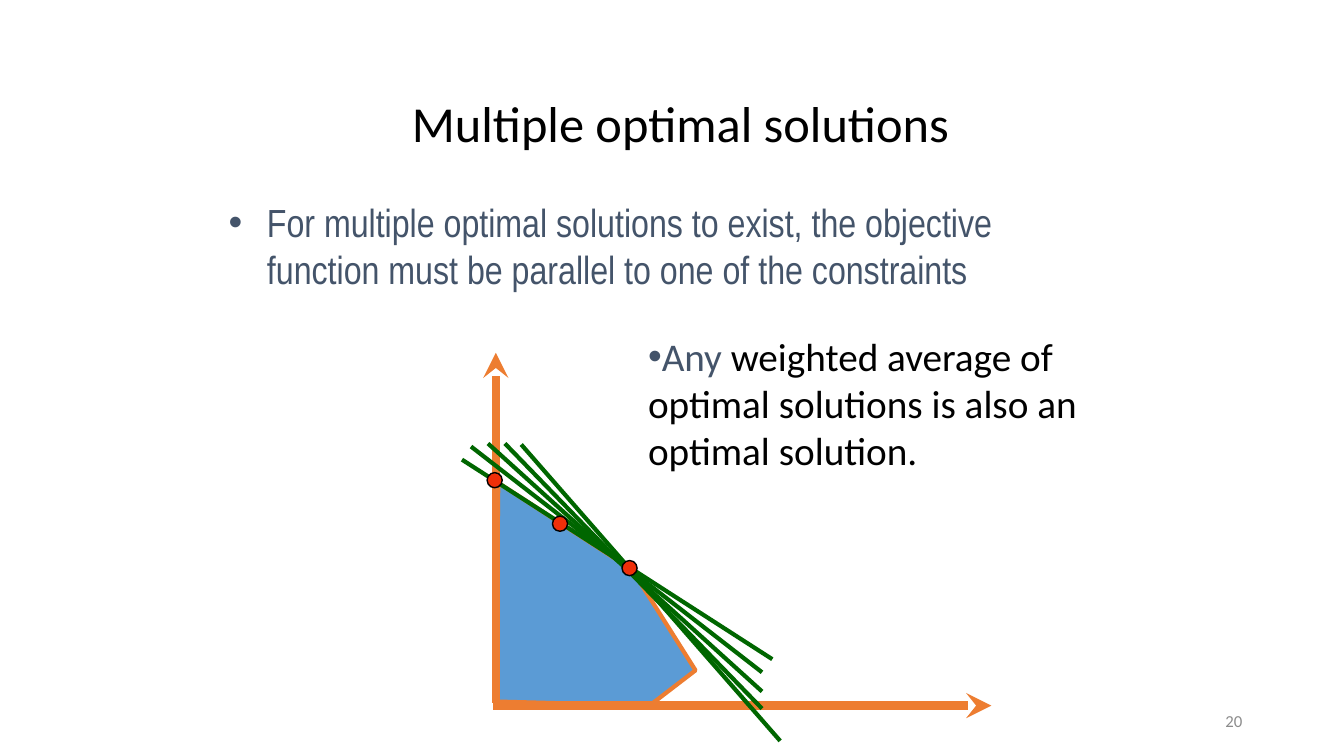
import pptx
import pptx.dml.color
import pptx.enum.shapes
import pptx.enum.text
import pptx.oxml.ns
import pptx.util
from lxml import etree

SLIDE_SIZE = (13.33, 7.5)
ORANGE, BLUE, GREEN, RED = "ED7D31", "5B9BD5", "006600", "EF2F09"
BLACK, SLATE, GREY = "000000", "44546A", "8C8C8C"

# Points of the graph, in percent of its box.
ORIGIN_UP, Y_AXIS_END = (15.3, 86.75), (15.3, 0)
ORIGIN_RIGHT, X_AXIS_END = (14.8, 87.5), (97.2, 87.5)
FEASIBLE_REGION = [(15.3, 86.5), (15.7, 32.25), (37.8, 53.75), (48.3, 78.75), (40.7, 87.5)]
OBJECTIVE_LINES = [
    ((19.5, 22.75), (62.3, 96.25)),
    ((16.8, 22.5), (59.3, 88.25)),
    ((14, 22.5), (59.3, 84)),
    ((11.2, 23.25), (59.3, 79.25)),
    ((9.7, 26.5), (61, 76)),
]
OPTIMAL_POINTS = [(25.9, 42.4), (15.1, 31.6), (37.4, 53.4)]
DOT_SIZE = 0.15


def color(hex_code):
    return pptx.dml.color.RGBColor.from_string(hex_code)


def add_xml(parent, tag, **attributes):
    return etree.SubElement(parent, pptx.oxml.ns.qn(tag), **attributes)


def place(box, point):
    """Turn a point in percent of a box into slide lengths."""
    left, top, width, height = box
    return (pptx.util.Inches(left + width * point[0] / 100),
            pptx.util.Inches(top + height * point[1] / 100))


def style_line(shape, hex_code, width):
    shape.line.color.rgb = color(hex_code)
    shape.line.width = pptx.util.Pt(width)


def style_shape(shape, fill, line, width):
    shape.shadow.inherit = False
    shape.fill.solid()
    shape.fill.fore_color.rgb = color(fill)
    style_line(shape, line, width)


def add_line(slide, box, start, end, hex_code, width, arrow=False):
    connector = slide.shapes.add_connector(
        pptx.enum.shapes.MSO_CONNECTOR.STRAIGHT, *place(box, start), *place(box, end))
    style_line(connector, hex_code, width)
    if arrow:
        add_xml(connector.line._get_or_add_ln(), "a:tailEnd", type="stealth")
    add_xml(connector._element.spPr, "a:effectLst")


def add_text(slide, box, runs, size, font="Calibri", align="LEFT", anchor="TOP"):
    """Add one paragraph made of (text, colour) runs and return it."""
    text_box = slide.shapes.add_textbox(*map(pptx.util.Inches, box))
    frame = text_box.text_frame
    frame.word_wrap = True
    frame.vertical_anchor = pptx.enum.text.MSO_ANCHOR[anchor]
    paragraph = frame.paragraphs[0]
    paragraph.alignment = pptx.enum.text.PP_ALIGN[align]
    for text, hex_code in runs:
        run = paragraph.add_run()
        run.text = text
        run.font.name = font
        run.font.size = pptx.util.Pt(size)
        run.font.color.rgb = color(hex_code)
    return paragraph


def add_bullet(paragraph, indent=0):
    paragraph.space_before = pptx.util.Pt(5.6)
    properties = paragraph._p.get_or_add_pPr()
    properties.set("marL", str(pptx.util.Inches(indent)))
    properties.set("indent", str(pptx.util.Inches(-indent)))
    add_xml(properties, "a:buFont", typeface="Arial")
    add_xml(properties, "a:buChar", char="•")


def add_title(slide, box):
    paragraph = add_text(slide, box, [("Multiple optimal solutions", BLACK)], 36,
                         align="CENTER", anchor="MIDDLE")
    paragraph.line_spacing = 0.9


def add_condition(slide, box):
    text = ("For multiple optimal solutions to exist, the objective "
            "function must be parallel to one of the constraints")
    add_bullet(add_text(slide, box, [(text, SLATE)], 28, font="Arial Narrow"), 0.38)


def add_consequence(slide, box):
    text = " weighted average of optimal solutions is also an optimal solution."
    add_bullet(add_text(slide, box, [("Any", SLATE), (text, BLACK)], 28))


def add_page_number(slide, box):
    add_text(slide, box, [("20", GREY)], 12, align="RIGHT", anchor="MIDDLE")


def add_feasible_region(slide, box):
    corners = [place(box, corner) for corner in FEASIBLE_REGION]
    builder = slide.shapes.build_freeform(*corners[0])
    builder.add_line_segments(corners[1:], close=True)
    style_shape(builder.convert_to_shape(), BLUE, ORANGE, 3)


def add_optimal_point(slide, box, point):
    size = pptx.util.Inches(DOT_SIZE)
    x, y = place(box, point)
    dot = slide.shapes.add_shape(pptx.enum.shapes.MSO_SHAPE.OVAL,
                                 x - size // 2, y - size // 2, size, size)
    style_shape(dot, RED, BLACK, 1)


def add_graph(slide, box):
    add_feasible_region(slide, box)
    add_line(slide, box, ORIGIN_UP, Y_AXIS_END, ORANGE, 6, arrow=True)
    add_line(slide, box, ORIGIN_RIGHT, X_AXIS_END, ORANGE, 6, arrow=True)
    for start, end in OBJECTIVE_LINES:
        add_line(slide, box, start, end, GREEN, 3)
    for point in OPTIMAL_POINTS:
        add_optimal_point(slide, box, point)


def main():
    presentation = pptx.Presentation()
    presentation.slide_width, presentation.slide_height = map(pptx.util.Inches, SLIDE_SIZE)
    slide = presentation.slides.add_slide(presentation.slide_layouts[6])
    add_page_number(slide, (9.42, 6.95, 3, 0.4))
    add_graph(slide, (4, 3.5, 6, 4))
    add_condition(slide, (2.17, 1.92, 8.67, 2.08))
    add_title(slide, (2, 0.92, 9.5, 0.67))
    add_consequence(slide, (6.33, 3.25, 4.77, 1.9))
    presentation.save("out.pptx")


if __name__ == "__main__":
    main()
